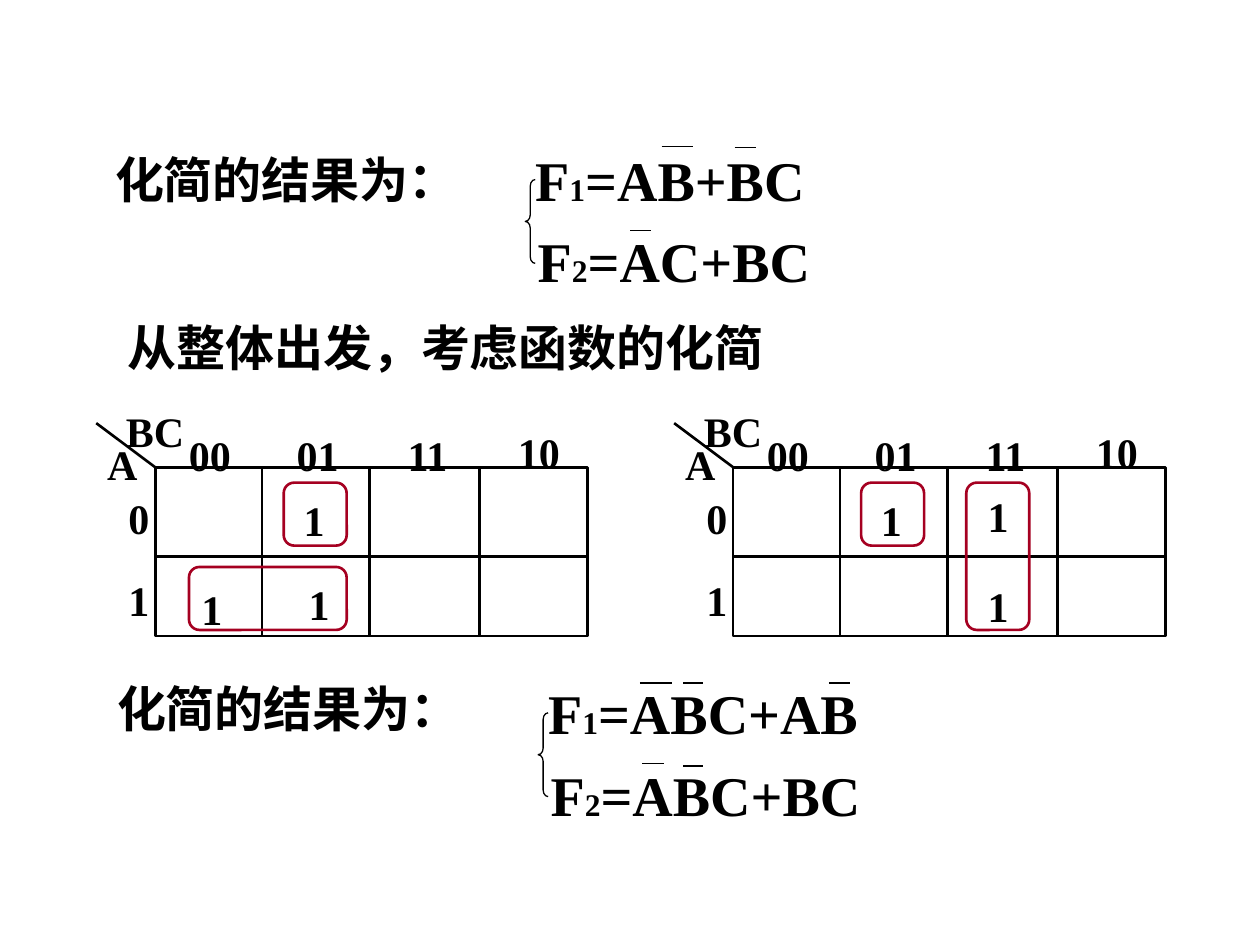
import pptx
import pptx.dml.color
import pptx.enum.shapes
import pptx.enum.text
import pptx.oxml.ns
import pptx.util
from lxml import etree

Cm = pptx.util.Cm
Kind = pptx.enum.shapes.MSO_SHAPE
LATIN = "Times New Roman"
HAN = "Noto Sans CJK SC"


def color(code):
    return pptx.dml.color.RGBColor.from_string(code)


def write(para, text, size=24, font=LATIN, ink="000000", bold=True):
    run = para.add_run()
    run.text = text
    run.font.size = pptx.util.Pt(size)
    run.font.bold = bold
    run.font.name = font
    run.font.color.rgb = color(ink)
    east = etree.SubElement(run.font._element, pptx.oxml.ns.qn("a:ea"))
    east.set("typeface", font)


class Board:
    ink = "000000"
    red = "A50021"
    thin = 0.75
    thick = 1.5

    def __init__(self, slide):
        self.slide = slide

    def label(self, left, top, width, height, parts):
        """Place one line of text; parts are (text, format) pairs."""
        box = self.slide.shapes.add_textbox(
            Cm(left), Cm(top), Cm(width), Cm(height))
        frame = box.text_frame
        frame.word_wrap = False
        frame.auto_size = pptx.enum.text.MSO_AUTO_SIZE.SHAPE_TO_FIT_TEXT
        for text, style in parts:
            write(frame.paragraphs[0], text, **style)

    def head(self, left, top, width, text):
        self.label(left, top, width, 1.45, [(text, dict(size=28, font=HAN))])

    def mark(self, left, top, text, width=0.91):
        self.label(left, top, width, 1.27, [(text, {})])

    def line(self, x1, y1, x2, y2, weight):
        link = self.slide.shapes.add_connector(
            pptx.enum.shapes.MSO_CONNECTOR.STRAIGHT,
            Cm(x1), Cm(y1), Cm(x2), Cm(y2))
        link.line.color.rgb = color(self.ink)
        link.line.width = pptx.util.Pt(weight)
        etree.SubElement(link._element.spPr, pptx.oxml.ns.qn("a:effectLst"))

    def shape(self, kind, left, top, width, height, ink, weight):
        item = self.slide.shapes.add_shape(
            kind, Cm(left), Cm(top), Cm(width), Cm(height))
        item.shadow.inherit = False
        item.fill.background()
        item.line.color.rgb = color(ink)
        item.line.width = pptx.util.Pt(weight)
        return item

    def system(self, left, top, width, terms, bars):
        """Two braced equations; bars are (x, y, width) negation strokes."""
        for row, term in enumerate(terms):
            parts = [("F", dict(size=32)), (str(row + 1), dict(size=18)),
                     ("=" + term, dict(size=32))]
            self.label(left + 0.05 * row, top + 1.65 * row, width, 1.63, parts)
        for x, y, span in bars:
            self.line(left + x, top + y, left + x + span, top + y, self.thin)
        brace = self.shape(Kind.LEFT_BRACE, left + 0.05, top + 0.82,
                           0.2, 1.69, self.ink, self.thin)
        brace.adjustments[0] = 0.67

    def kmap(self, left, top, ones, loops):
        """Karnaugh map with its ones and the loops (x, y, width, height)."""
        width, height, split = 8.72, 3.4, 1.8
        # Grid
        self.shape(Kind.RECTANGLE, left, top, width, height,
                   self.ink, self.thick)
        self.line(left, top + split, left + width, top + split, self.thick)
        for x in (2.15, 4.32, 6.54):
            self.line(left + x, top, left + x, top + height, self.thick)
        self.line(left, top, left - 1.19, top - 0.89, self.thick)
        # Variable names, row and column codes
        self.mark(left - 1.22, top - 0.71, "A", 1.12)
        self.mark(left - 0.84, top - 1.37, "BC", 1.68)
        for y, code in ((0.38, "0"), (2.03, "1")):
            self.mark(left - 0.79, top + y, code)
        for x, y, code in ((0.43, -0.89, "00"), (2.6, -0.89, "01"),
                           (4.84, -0.89, "11"), (7.06, -0.94, "10")):
            self.mark(left + x, top + y, code, 1.35)
        # Ones and loops
        for x, y in ones:
            self.mark(left + x, top + y, "1")
        for x, y, wide, high in loops:
            loop = self.shape(Kind.ROUNDED_RECTANGLE, left + x, top + y,
                              wide, high, self.red, self.thick)
            loop.adjustments[0] = 0.167


def main():
    deck = pptx.Presentation()
    deck.slide_width, deck.slide_height = Cm(25.4), Cm(19.05)
    board = Board(deck.slides.add_slide(deck.slide_layouts[6]))

    # Separate simplification
    board.head(2.07, 2.88, 7.42, "化简的结果为：")
    board.system(10.54, 2.8, 6.1, ("AB+BC", "AC+BC"),
                 [(2.8, 0.15, 0.63), (4.27, 0.17, 0.43), (2.16, 1.85, 0.43)])

    # Joint simplification
    board.head(2.32, 6.27, 13.34, "从整体出发，考虑函数的化简")
    board.kmap(3.13, 9.42,
               [(2.84, 2.11), (2.74, 0.42), (0.68, 2.21)],
               [(0.68, 2.01, 3.18, 1.27), (2.59, 0.31, 1.27, 1.27)])
    board.kmap(14.78, 9.42,
               [(4.88, 0.34), (4.88, 2.16), (2.73, 0.42)],
               [(2.58, 0.31, 1.27, 1.27), (4.7, 0.31, 1.27, 2.97)])

    # Joint result
    board.head(2.11, 13.55, 7.42, "化简的结果为：")
    board.system(10.8, 13.55, 6.85, ("ABC+AB", "ABC+BC"),
                 [(2.1, 0.22, 0.64), (2.97, 0.22, 0.41), (5.91, 0.22, 0.43),
                  (2.15, 1.84, 0.43), (2.97, 1.89, 0.41)])

    deck.save("out.pptx")


if __name__ == "__main__":
    main()
